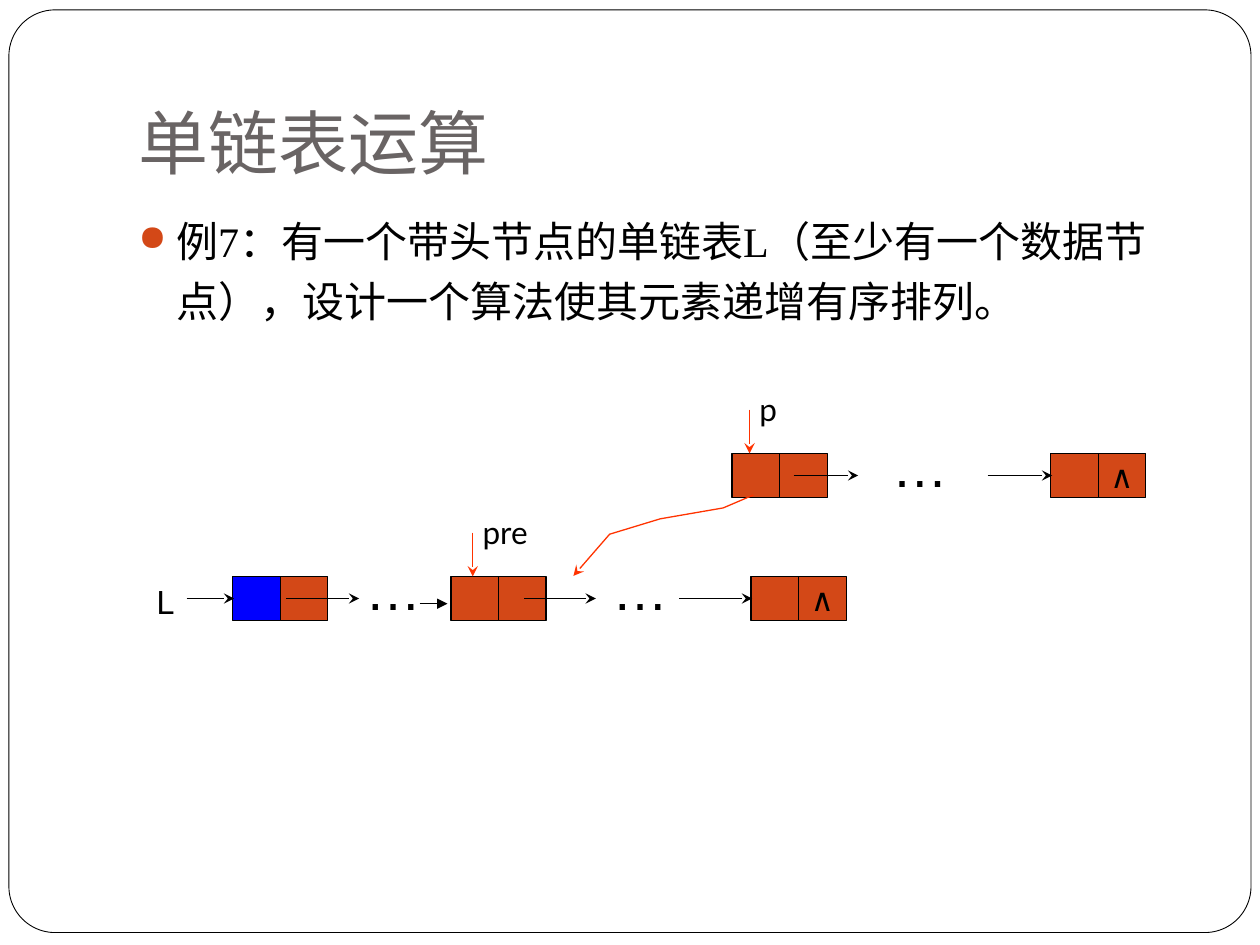
from lxml import etree
from pptx import Presentation
from pptx.dml.color import RGBColor
from pptx.enum.shapes import MSO_CONNECTOR, MSO_SHAPE
from pptx.enum.text import MSO_ANCHOR, PP_ALIGN
from pptx.oxml.ns import qn
from pptx.util import Cm, Pt

STRAIGHT = MSO_CONNECTOR.STRAIGHT
RECTANGLE = MSO_SHAPE.RECTANGLE
ROUNDED_RECTANGLE = MSO_SHAPE.ROUNDED_RECTANGLE
BOTTOM, MIDDLE, TOP = MSO_ANCHOR.BOTTOM, MSO_ANCHOR.MIDDLE, MSO_ANCHOR.TOP
LEFT, CENTER = PP_ALIGN.LEFT, PP_ALIGN.CENTER

BLACK, WHITE, GRAY = "000000", "FFFFFF", "696464"
ORANGE, BLUE, RED = "D34817", "0000FF", "FF3300"
CELL_WIDTH, CELL_HEIGHT = 0.96, 0.89
ARROW_Y = CELL_HEIGHT / 2

TITLE_FORMAT = {"name": "Roboto", "size": Pt(40), "bold": False}
BODY_FORMAT = {"name": "Times New Roman", "size": Pt(24)}
SYMBOL_FORMAT = {"name": "DejaVu Sans", "size": Pt(18)}
POINTER_FORMAT = {"name": "Lato", "size": Pt(18)}
DOTS_FORMAT = {"name": "Arial", "size": Pt(32)}


def color(value):
    return RGBColor.from_string(value)


def write_text(shape, text, font_format, text_color=BLACK, align=LEFT, anchor=TOP, wrap=True):
    frame = shape.text_frame
    frame.word_wrap = wrap
    frame.vertical_anchor = anchor
    paragraph = frame.paragraphs[0]
    paragraph.alignment = align
    run = paragraph.add_run()
    run.text = text
    for name, value in font_format.items():
        setattr(run.font, name, value)
    run.font.color.rgb = color(text_color)
    return paragraph


def add_label(slide, left, top, width, height, text, font_format):
    box = slide.shapes.add_textbox(Cm(left), Cm(top), Cm(width), Cm(height))
    return write_text(box, text, font_format)


def add_box(slide, kind, left, top, width, height, fill, line_width=0.75):
    shape = slide.shapes.add_shape(kind, Cm(left), Cm(top), Cm(width), Cm(height))
    shape.shadow.inherit = False
    shape.fill.solid()
    shape.fill.fore_color.rgb = color(fill)
    shape.line.color.rgb = color(BLACK)
    shape.line.width = Pt(line_width)
    return shape


def style_arrow(shape, line_color, head):
    shape.line.color.rgb = color(line_color)
    shape.line.width = Pt(0.75)
    line = shape.line._get_or_add_ln()
    etree.SubElement(line, qn("a:tailEnd"), type=head)


def add_arrow(slide, start_x, start_y, end_x, end_y, line_color=BLACK, head="stealth"):
    arrow = slide.shapes.add_connector(
        STRAIGHT, Cm(start_x), Cm(start_y), Cm(end_x), Cm(end_y))
    style_arrow(arrow, line_color, head)
    etree.SubElement(arrow._element.spPr, qn("a:effectLst"))


def add_node(slide, left, top, data_fill=ORANGE, link_text=""):
    add_box(slide, RECTANGLE, left, top, CELL_WIDTH, CELL_HEIGHT, data_fill)
    link = add_box(slide, RECTANGLE, left + CELL_WIDTH, top, CELL_WIDTH, CELL_HEIGHT, ORANGE)
    if link_text:
        write_text(link, link_text, SYMBOL_FORMAT, align=CENTER, anchor=MIDDLE, wrap=False)


def add_pointer(slide, x, node_top, name):
    add_label(slide, x - 0.05, node_top - 1.41, 1.45, 1.02, name, POINTER_FORMAT)
    add_arrow(slide, x, node_top - 0.88, x, node_top, RED)


def add_links(slide, left, top, spans):
    for start, end in spans:
        add_arrow(slide, left + start, top + ARROW_Y, left + end, top + ARROW_Y)


def add_dots(slide, left, top):
    add_label(slide, left, top - 0.56, 1.9, 1.63, "…", DOTS_FORMAT)


def add_frame(slide, left, top, width, height):
    frame = add_box(slide, ROUNDED_RECTANGLE, left, top, width, height, WHITE, 0.5)
    frame.adjustments[0] = 0.05
    slide.shapes._spTree.insert(2, frame._element)


def place_title(slide, left, top, width, height):
    title = slide.shapes.title
    title.left, title.top = Cm(left), Cm(top)
    title.width, title.height = Cm(width), Cm(height)
    write_text(title, "单链表运算", TITLE_FORMAT, GRAY, anchor=BOTTOM)
    title.text_frame.margin_bottom = Cm(0.25)


def add_exercise(slide, left, top, width, height):
    text = "例7：有一个带头节点的单链表L（至少有一个数据节点），设计一个算法使其元素递增有序排列。"
    paragraph = add_label(slide, left, top, width, height, text, BODY_FORMAT)
    paragraph.line_spacing = 1.2
    properties = paragraph._p.get_or_add_pPr()
    properties.set("marL", str(Cm(0.76)))
    properties.set("indent", str(-Cm(0.76)))
    bullet_color = etree.SubElement(properties, qn("a:buClr"))
    etree.SubElement(bullet_color, qn("a:srgbClr"), val=ORANGE)
    etree.SubElement(properties, qn("a:buSzPct"), val="85000")
    etree.SubElement(properties, qn("a:buChar"), char="●")


def add_sorted_list(slide, left, top):
    add_label(slide, left, top, 1.47, 1.02, "L", SYMBOL_FORMAT)
    add_node(slide, left + 1.79, top, BLUE)
    add_node(slide, left + 6.19, top)
    add_node(slide, left + 12.24, top, link_text="∧")
    add_links(slide, left, top,
              [(0.86, 1.82), (2.87, 4.34), (7.67, 9.11), (10.79, 12.26)])
    for x in (4.21, 9.19):
        add_dots(slide, left + x, top)
    add_arrow(slide, left + 5.56, top + 0.55, left + 6.12, top + 0.55, head="triangle")
    add_pointer(slide, left + 6.63, top, "pre")


def add_remaining_list(slide, left, top):
    add_node(slide, left, top)
    add_node(slide, left + 6.42, top, link_text="∧")
    add_links(slide, left, top, [(1.24, 2.54), (5.15, 6.45)])
    add_dots(slide, left + 2.97, top)
    add_pointer(slide, left + 0.35, top, "p")


def add_insertion_path(slide, left, top):
    offsets = [(0.43, 0.84), (-0.18, 1.1), (-1.45, 1.32), (-2.47, 1.63), (-3.2, 2.47)]
    points = [(Cm(left + x), Cm(top + y)) for x, y in offsets]
    builder = slide.shapes.build_freeform(*points[0])
    builder.add_line_segments(points[1:], close=False)
    path = builder.convert_to_shape()
    path.shadow.inherit = False
    path.fill.background()
    style_arrow(path, RED, "stealth")


def main():
    presentation = Presentation()
    presentation.slide_width, presentation.slide_height = Cm(25.4), Cm(19.05)
    slide = presentation.slides.add_slide(presentation.slide_layouts[5])
    add_frame(slide, 0.18, 0.2, 25.04, 18.6)
    place_title(slide, 2.54, 0.76, 21.59, 3.18)
    add_exercise(slide, 2.54, 4.01, 21.59, 12.7)
    add_sorted_list(slide, 2.9, 11.62)
    add_remaining_list(slide, 14.76, 9.14)
    add_insertion_path(slide, 14.76, 9.14)
    presentation.save("out.pptx")


if __name__ == "__main__":
    main()
